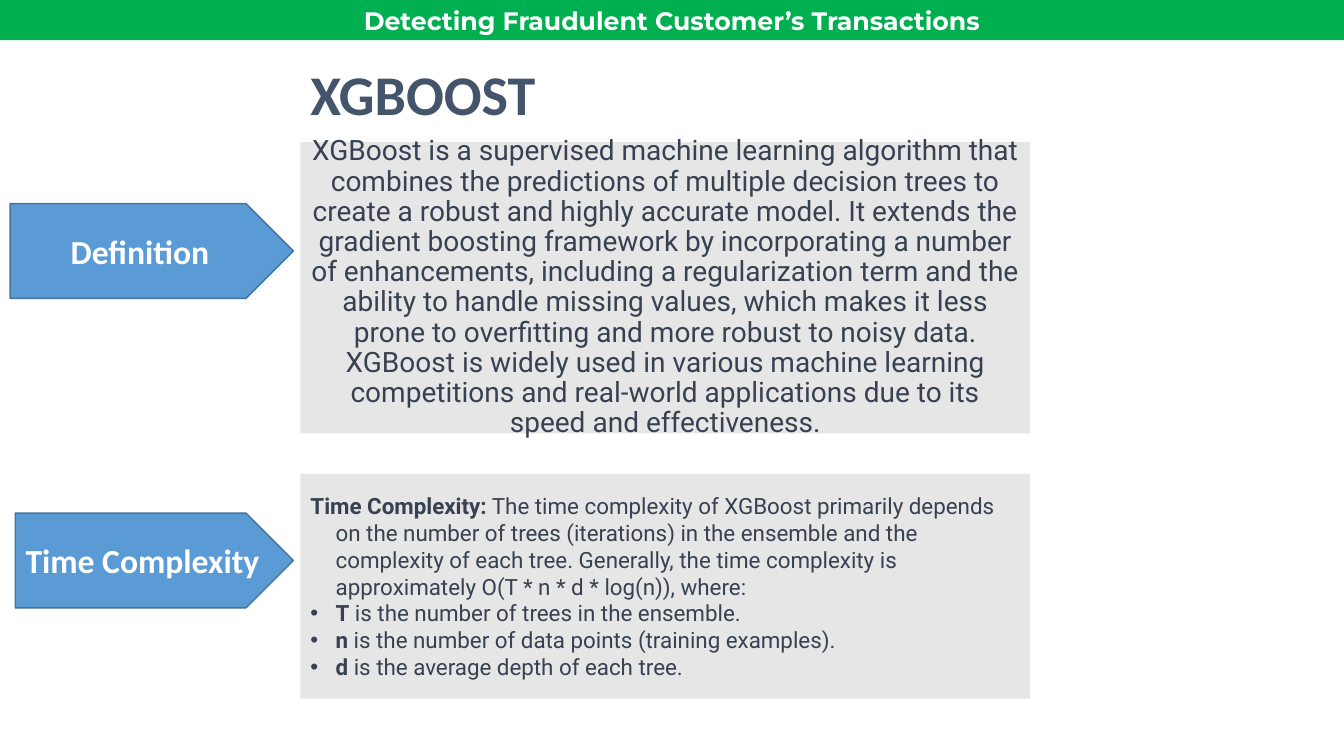
import pptx
import pptx.util
import pptx.dml.color
import pptx.enum.shapes
import pptx.enum.text
import lxml.etree

SHAPES = pptx.enum.shapes.MSO_SHAPE
ALIGN = pptx.enum.text.PP_ALIGN
ANCHOR = pptx.enum.text.MSO_ANCHOR
AUTOSIZE = pptx.enum.text.MSO_AUTO_SIZE

SLIDE_WIDTH = pptx.util.Inches(13.33)
SLIDE_HEIGHT = pptx.util.Inches(7.5)

# Shared columns, in percent of the slide width
CONTENT_LEFT, CONTENT_WIDTH = 22.35, 54.31
ARROW_RIGHT, ARROW_HEIGHT = 21.83, 12.53

WHITE, GREEN, GREY = "FFFFFF", "00B050", "E7E6E6"
BLUE, BLUE_EDGE, SLATE, INK = "5B9BD5", "43739E", "44546A", "374151"

DEFINITION = (
    "XGBoost is a supervised machine learning algorithm that combines the "
    "predictions of multiple decision trees to create a robust and highly "
    "accurate model. It extends the gradient boosting framework by "
    "incorporating a number of enhancements, including a regularization term "
    "and the ability to handle missing values, which makes it less prone to "
    "overfitting and more robust to noisy data. XGBoost is widely used in "
    "various machine learning competitions and real-world applications due "
    "to its speed and effectiveness."
)
COMPLEXITY = [
    ("Time Complexity:",
     " The time complexity of XGBoost primarily depends on the number of trees "
     "(iterations) in the ensemble and the complexity of each tree. Generally, "
     "the time complexity is approximately O(T * n * d * log(n)), where:"),
    ("T", " is the number of trees in the ensemble."),
    ("n", " is the number of data points (training examples)."),
    ("d", " is the average depth of each tree."),
]


def color(hex_code):
    return pptx.dml.color.RGBColor.from_string(hex_code)


def area(left, top, width, height):
    """Turn percentages of the slide into lengths."""
    return (int(SLIDE_WIDTH * left / 100), int(SLIDE_HEIGHT * top / 100),
            int(SLIDE_WIDTH * width / 100), int(SLIDE_HEIGHT * height / 100))


def write(paragraph, text, size=18, font="Calibri", ink=WHITE, bold=False,
          align=ALIGN.LEFT, spacing=1.0):
    paragraph.alignment = align
    paragraph.line_spacing = spacing
    paragraph.space_before = pptx.util.Pt(0)
    run = paragraph.add_run()
    run.text = text
    run.font.size = pptx.util.Pt(size)
    run.font.name = font
    run.font.bold = bold
    run.font.color.rgb = color(ink)


def hang(paragraph, bullet=None):
    """Give a paragraph a hanging indent and, if asked, a bullet."""
    properties = paragraph._p.get_or_add_pPr()
    indent = pptx.util.Inches(0.25)
    properties.set("marL", str(indent))
    properties.set("indent", str(-indent))
    tag = pptx.oxml.ns.qn("a:buChar" if bullet else "a:buNone")
    mark = lxml.etree.SubElement(properties, tag)
    if bullet:
        mark.set("char", bullet)


def panel(placeholder, *place):
    """Move a placeholder, shade it and return its text frame."""
    placeholder.left, placeholder.top, placeholder.width, placeholder.height = area(*place)
    placeholder.fill.solid()
    placeholder.fill.fore_color.rgb = color(GREY)
    frame = placeholder.text_frame
    frame.auto_size = AUTOSIZE.NONE
    frame.word_wrap = True
    frame.vertical_anchor = ANCHOR.MIDDLE
    inset = pptx.util.Inches(0.1)
    frame.margin_left = frame.margin_top = inset
    frame.margin_right = frame.margin_bottom = inset
    return frame


def block(slide, kind, text, place, fill, edge=None, anchor=ANCHOR.MIDDLE, **text_format):
    shape = slide.shapes.add_shape(kind, *area(*place))
    shape.shadow.inherit = False
    shape.fill.solid()
    shape.fill.fore_color.rgb = color(fill)
    if edge:
        shape.line.color.rgb = color(edge)
        shape.line.width = pptx.util.Pt(1)
    else:
        shape.line.fill.background()
    shape.text_frame.word_wrap = True
    shape.text_frame.vertical_anchor = anchor
    write(shape.text_frame.paragraphs[0], text, bold=True, align=ALIGN.CENTER, **text_format)


def label_arrow(slide, text, left, top):
    place = (left, top, ARROW_RIGHT - left, ARROW_HEIGHT)
    block(slide, SHAPES.PENTAGON, text, place, BLUE, BLUE_EDGE, size=24)


def main():
    deck = pptx.Presentation()
    deck.slide_width, deck.slide_height = SLIDE_WIDTH, SLIDE_HEIGHT
    slide = deck.slides.add_slide(deck.slide_layouts[0])

    # Definition panel
    definition = panel(slide.shapes.title, CONTENT_LEFT, 18.8, CONTENT_WIDTH, 38.53)
    write(definition.paragraphs[0], DEFINITION, size=20, font="Roboto", ink=INK,
          align=ALIGN.CENTER, spacing=0.9)

    # Time complexity panel
    complexity = panel(slide.placeholders[1], CONTENT_LEFT, 62.67, CONTENT_WIDTH, 29.73)
    for index, (term, meaning) in enumerate(COMPLEXITY):
        entry = complexity.add_paragraph() if index else complexity.paragraphs[0]
        write(entry, term, size=16, font="Roboto", ink=INK, bold=True)
        write(entry, meaning, size=16, font="Roboto", ink=INK)
        hang(entry, "•" if index else None)

    # Banner
    block(slide, SHAPES.RECTANGLE, "Detecting Fraudulent Customer’s Transactions",
          (0, 0, 100, 5.33), GREEN, anchor=ANCHOR.TOP, font="Montserrat")

    # Arrows naming the panels
    label_arrow(slide, "Definition", 0.75, 26.93)
    label_arrow(slide, "Time Complexity", 1.13, 67.87)

    # Heading
    heading = slide.shapes.add_textbox(*area(CONTENT_LEFT, 7.2, 55.29, 10.27)).text_frame
    heading.word_wrap = True
    write(heading.paragraphs[0], "XGBOOST", size=40, ink=SLATE, bold=True)

    deck.save("out.pptx")


if __name__ == "__main__":
    main()
